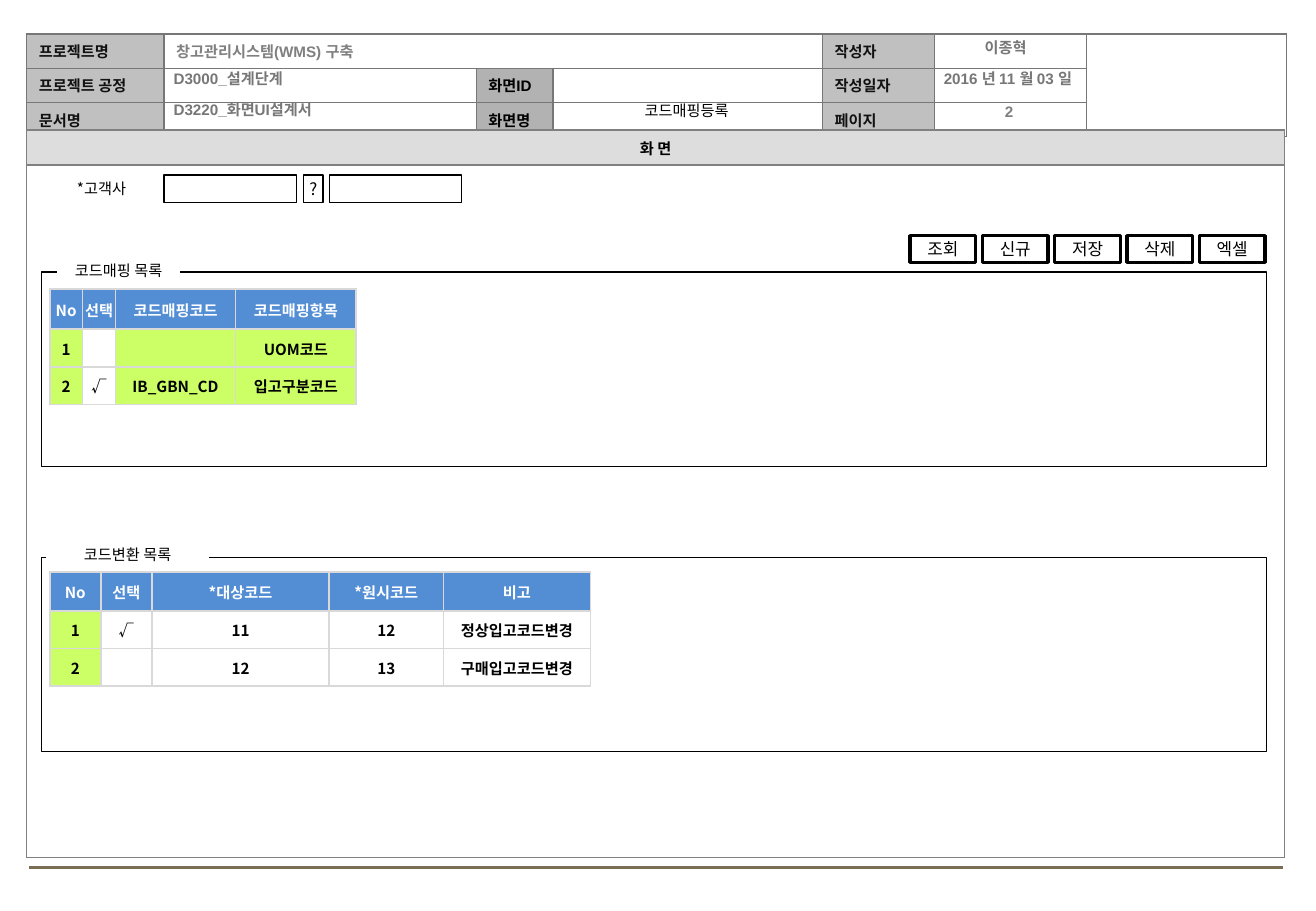
from dataclasses import dataclass

from lxml import etree
from pptx import Presentation
from pptx import util as u
from pptx.dml.color import RGBColor
from pptx.enum import shapes, text
from pptx.oxml import ns

ARIAL, NOTO = "Arial", "Noto Sans CJK KR"
GRAY, MID_GRAY, LIME, BLUE = "C0C0C0", "B2B2B2", "CCFF66", "538ED5"
CENTER, LEFT = text.PP_ALIGN.CENTER, text.PP_ALIGN.LEFT
MIDDLE, TOP = text.MSO_ANCHOR.MIDDLE, text.MSO_ANCHOR.TOP
DEFAULT_INSETS = (0.1, 0.05, 0.1, 0.05)
BUTTON_INSETS = (0.02, 0.04, 0.02, 0.04)
SIDES = ("left", "top", "right", "bottom")


@dataclass(frozen=True)
class Style:
    color: str = "000000"
    size: int = 9
    bold: bool = False
    font: str = NOTO
    align: text.PP_ALIGN = CENTER


@dataclass(frozen=True)
class Box:
    left: float
    top: float
    width: float
    height: float
    words: str = ""
    style: Style = Style()
    fill: str = ""
    line: float = 0
    insets: tuple = DEFAULT_INSETS
    anchor: text.MSO_ANCHOR = TOP
    wrap: bool = True


@dataclass(frozen=True)
class Cell:
    words: str = ""
    style: Style = Style()
    fill: str = ""


@dataclass(frozen=True)
class Grid:
    left: float
    top: float
    columns: list
    rows: list
    cells: list
    border: str
    insets: tuple
    merges: tuple = ()


def rgb(value: str) -> RGBColor:
    return RGBColor.from_string(value)


def set_all(target, values: dict) -> None:
    for name, value in values.items():
        setattr(target, name, value)


def paint(target, color: str) -> None:
    if color:
        target.fill.solid()
        target.fill.fore_color.rgb = rgb(color)
    else:
        target.fill.background()


def write(frame, words: str, style: Style) -> None:
    para = frame.paragraphs[0]
    set_all(para, {"alignment": style.align, "space_before": u.Pt(0), "line_spacing": 1.0})
    if not words:
        para._p.get_or_add_endParaRPr().set("sz", str(style.size * 100))
        return
    span = para.add_run()
    span.text = words
    set_all(span.font, {"size": u.Pt(style.size), "bold": style.bold, "name": style.font})
    span.font.color.rgb = rgb(style.color)
    etree.SubElement(span._r.get_or_add_rPr(), ns.qn("a:ea"), typeface=NOTO)


def fill_frame(shape, box: Box) -> None:
    frame = shape.text_frame
    margins = {f"margin_{s}": u.Inches(v) for s, v in zip(SIDES, box.insets)}
    set_all(frame, {"word_wrap": box.wrap, "vertical_anchor": box.anchor,
                    "auto_size": text.MSO_AUTO_SIZE.NONE, **margins})
    write(frame, box.words, box.style)


def place(box: Box) -> tuple:
    return tuple(u.Inches(v) for v in (box.left, box.top, box.width, box.height))


def add_label(page, box: Box) -> None:
    fill_frame(page.shapes.add_textbox(*place(box)), box)


def add_box(page, box: Box) -> None:
    shape = page.shapes.add_shape(shapes.MSO_SHAPE.RECTANGLE, *place(box))
    shape.shadow.inherit = False
    paint(shape, box.fill)
    if box.line:
        shape.line.color.rgb = rgb("000000")
        shape.line.width = u.Pt(box.line)
    else:
        shape.line.fill.background()
    if box.words:
        fill_frame(shape, box)


def add_borders(cell, color: str) -> None:
    props = cell._tc.get_or_add_tcPr()
    for index, side in enumerate("LRTB"):
        edge = etree.Element(ns.qn(f"a:ln{side}"), w=str(u.Pt(1)))
        solid = etree.SubElement(edge, ns.qn("a:solidFill"))
        etree.SubElement(solid, ns.qn("a:srgbClr"), val=color)
        props.insert(index, edge)


def add_grid(page, grid: Grid) -> None:
    frame = page.shapes.add_table(
        len(grid.rows), len(grid.columns), u.Inches(grid.left), u.Inches(grid.top),
        u.Inches(sum(grid.columns)), u.Inches(sum(grid.rows)))
    table = frame.table
    set_all(table, {"first_row": False, "horz_banding": False})
    for column, width in zip(table.columns, grid.columns):
        column.width = u.Inches(width)
    for row, height in zip(table.rows, grid.rows):
        row.height = u.Inches(height)
    margins = {f"margin_{s}": u.Inches(v) for s, v in zip(SIDES, grid.insets)}
    for row, contents in zip(table.rows, grid.cells):
        for cell, content in zip(row.cells, contents):
            set_all(cell, {"vertical_anchor": MIDDLE, **margins})
            paint(cell, content.fill)
            add_borders(cell, grid.border)
            write(cell.text_frame, content.words, content.style)
    for start, end in grid.merges:
        table.cell(*start).merge(table.cell(*end))


def list_grid(left: float, top: float, columns: list, rows: list, heads: list,
              records: list, lime_columns: tuple) -> Grid:
    head = Style("FFFFFF", bold=True)
    body = Style(bold=True)
    cells = [[Cell(words, head, BLUE) for words in heads]]
    cells += [[Cell(words, body, LIME if index in lime_columns else "")
               for index, words in enumerate(record)] for record in records]
    return Grid(left, top, columns, rows, cells, "D9D9D9", (0.01, 0.01, 0.01, 0))


def add_document_header(page) -> None:
    label = Style("111111", bold=True, font=ARIAL, align=LEFT)
    screen = Style(bold=True, font=ARIAL, align=LEFT)
    value = Style("808080", bold=True, font=ARIAL, align=LEFT)
    names = [("프로젝트명", "창고관리시스템(WMS) 구축", "", "작성자"),
             ("프로젝트 공정", "", "화면ID", "작성일자"),
             ("문서명", "", "화면명", "페이지")]
    cells = [[Cell(first, label, GRAY), Cell(project, value),
              Cell(item, screen, MID_GRAY if item else ""), Cell(),
              Cell(last, label, GRAY), Cell(), Cell()]
             for first, project, item, last in names]
    add_grid(page, Grid(0.22, 0.28, [1.13, 2.57, 0.63, 2.22, 0.92, 1.25, 1.65],
                        [0.28] * 3, cells, "777777", DEFAULT_INSETS,
                        (((0, 1), (0, 3)), ((0, 6), (2, 6)))))
    note = Style("777777", bold=True, font=ARIAL, align=LEFT)
    add_label(page, Box(1.33, 0.52, 5.42, 0.25, "D3000_설계단계", note))
    add_label(page, Box(1.33, 0.78, 5.42, 0.25, "D3220_화면UI설계서", note))
    centered = Style("777777", bold=True, font=ARIAL)
    add_label(page, Box(7.49, 0.27, 1.57, 0.25, "이종혁", centered))
    add_label(page, Box(7.51, 0.52, 1.57, 0.25, "2016 년 11 월 03 일", centered))
    add_label(page, Box(7.68, 0.79, 1.25, 0.25, "2", Style("7F7F7F", bold=True, font=ARIAL)))


def main() -> None:
    deck = Presentation()
    set_all(deck, {"slide_width": u.Inches(10.83), "slide_height": u.Inches(7.5)})
    page = deck.slides.add_slide(deck.slide_layouts[5])

    # Screen name
    title = Box(4.56, 0.78, 2.18, 0.25, "코드매핑등록")
    set_all(page.shapes.title, dict(zip(("left", "top", "width", "height"), place(title))))
    fill_frame(page.shapes.title, title)

    # Footer rule, document header and screen frame
    rule = page.shapes.add_connector(
        shapes.MSO_CONNECTOR.STRAIGHT, *(u.Inches(v) for v in (0.24, 7.14, 10.56, 7.14)))
    rule.line.color.rgb = rgb("7A6F54")
    rule.line.width = u.Pt(1.75)
    etree.SubElement(rule._element.spPr, ns.qn("a:effectLst"))
    add_document_header(page)
    heading = Cell("화 면", Style(bold=True, font=ARIAL), "DDDDDD")
    add_grid(page, Grid(0.22, 1.07, [10.35], [0.29, 5.7], [[heading], [Cell()]],
                        "808080", (0.02, 0, 0.02, 0)))

    # Customer search
    add_label(page, Box(0.36, 1.43, 0.95, 0.25, "*고객사"))
    for left, width, words in ((1.35, 1.09, ""), (2.5, 0.16, "?"), (2.71, 1.09, "")):
        add_box(page, Box(left, 1.44, width, 0.23, words, Style(size=10), "FFFFFF", 0.75,
                          BUTTON_INSETS, MIDDLE, False))

    # Action buttons
    first, last = 7.49, 9.87
    actions = ("조회", "신규", "저장", "삭제", "엑셀")
    for index, words in enumerate(actions):
        left = first + index * (last - first) / (len(actions) - 1)
        add_box(page, Box(left, 1.94, 0.54, 0.22, words, Style(size=10), "FFFFFF", 2,
                          BUTTON_INSETS, MIDDLE, False))

    # Mapping and conversion lists
    mapping = list_grid(0.41, 2.38, [0.27, 0.27, 0.99, 0.99], [0.33, 0.31, 0.31],
                        ["No", "선택", "코드매핑코드", "코드매핑항목"],
                        [["1", "", "", "UOM코드"], ["2", "√", "IB_GBN_CD", "입고구분코드"]],
                        (0, 2, 3))
    conversion = list_grid(0.41, 4.71, [0.42, 0.42, 1.46, 0.94, 1.21], [0.32, 0.31, 0.31],
                           ["No", "선택", "*대상코드", "*원시코드", "비고"],
                           [["1", "√", "11", "12", "정상입고코드변경"],
                            ["2", "", "12", "13", "구매입고코드변경"]], (0,))
    for panel, caption, grid in (
            (Box(0.34, 2.24, 10.08, 1.6, line=0.75),
             Box(0.47, 2.1, 1.01, 0.25, "코드매핑 목록", fill="FFFFFF"), mapping),
            (Box(0.34, 4.59, 10.08, 1.6, line=0.75),
             Box(0.38, 4.44, 1.34, 0.25, "코드변환 목록", fill="FFFFFF"), conversion)):
        add_box(page, panel)
        add_grid(page, grid)
        add_box(page, caption)

    deck.save("out.pptx")


if __name__ == "__main__":
    main()
